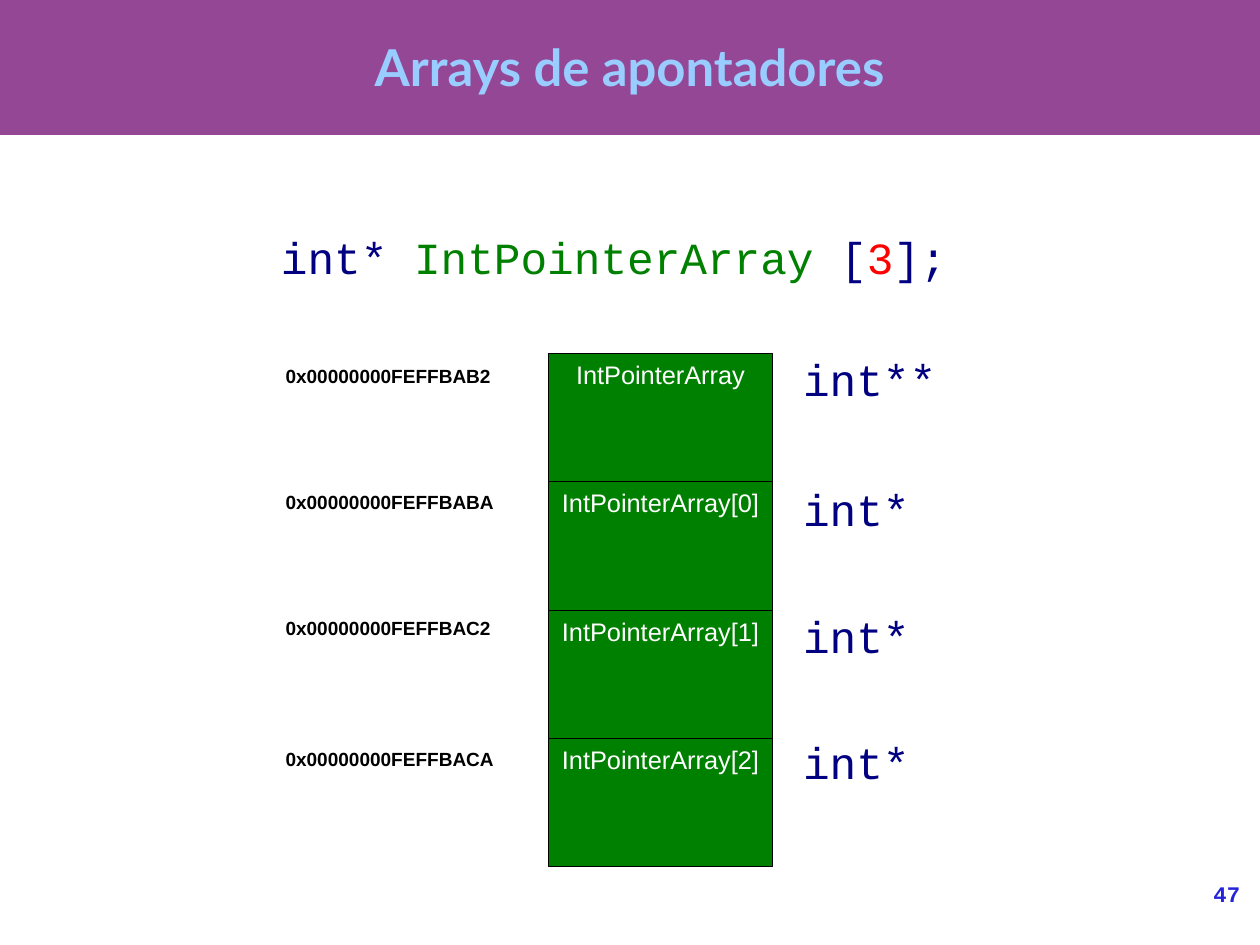
"""Build the slide on arrays of pointers with its memory diagram."""
from dataclasses import dataclass

from pptx import Presentation
from pptx.dml.color import RGBColor
from pptx.enum.shapes import MSO_SHAPE
from pptx.enum.text import MSO_ANCHOR, PP_ALIGN
from pptx.util import Pt

RECTANGLE = MSO_SHAPE.RECTANGLE
TOP, MIDDLE = MSO_ANCHOR.TOP, MSO_ANCHOR.MIDDLE
LEFT, CENTER, RIGHT = PP_ALIGN.LEFT, PP_ALIGN.CENTER, PP_ALIGN.RIGHT

PURPLE = RGBColor(0x94, 0x47, 0x94)
SKY = RGBColor(0x99, 0xCC, 0xFF)
GREEN = RGBColor(0x00, 0x80, 0x00)
NAVY = RGBColor(0x00, 0x00, 0x80)
RED = RGBColor(0xFF, 0x00, 0x00)
BLUE = RGBColor(0x23, 0x23, 0xDC)
BLACK = RGBColor(0x00, 0x00, 0x00)
WHITE = RGBColor(0xFF, 0xFF, 0xFF)

TITLE_FONT = {"name": "Lato", "size": Pt(32), "bold": True}
CODE_FONT = {"name": "Courier New", "size": Pt(28), "bold": False}
CELL_FONT = {"name": "Arial", "size": Pt(16), "bold": False}
ADDRESS_FONT = {"name": "Arial", "size": Pt(12), "bold": True}
NUMBER_FONT = {"name": "Courier New", "size": Pt(14), "bold": True}

SLIDE_WIDTH, SLIDE_HEIGHT = 793.7, 595.28
CELL_TOP, CELL_PITCH = 222.5, 80.9


@dataclass
class Box:
    left: float
    top: float
    width: float
    height: float


@dataclass
class MemoryCell:
    name: str
    address: str
    address_top: float
    type_name: str
    type_top: float


MEMORY_CELLS = [
    MemoryCell("IntPointerArray", "0x00000000FEFFBAB2", 226, "int**", 218.2),
    MemoryCell("IntPointerArray[0]", "0x00000000FEFFBABA", 305.2, "int*", 300.4),
    MemoryCell("IntPointerArray[1]", "0x00000000FEFFBAC2", 384.5, "int*", 380),
    MemoryCell("IntPointerArray[2]", "0x00000000FEFFBACA", 467.2, "int*", 459.4),
]

DECLARATION = [
    ("int* ", NAVY),
    ("IntPointerArray", GREEN),
    (" [", NAVY),
    ("3", RED),
    ("];", NAVY),
]


def write_text(shape, runs, font, alignment=LEFT, anchor=TOP, margins=(7.2, 3.6), wrap=True) -> None:
    horizontal, vertical = Pt(margins[0]), Pt(margins[1])
    frame_format = {
        "margin_left": horizontal,
        "margin_right": horizontal,
        "margin_top": vertical,
        "margin_bottom": vertical,
        "vertical_anchor": anchor,
        "word_wrap": wrap,
    }
    for attribute, value in frame_format.items():
        setattr(shape.text_frame, attribute, value)
    paragraph = shape.text_frame.paragraphs[0]
    paragraph.alignment = alignment
    for text, color in runs:
        run = paragraph.add_run()
        run.text = text
        for attribute, value in font.items():
            setattr(run.font, attribute, value)
        run.font.color.rgb = color


def add_rectangle(slide, box: Box, fill: RGBColor):
    shape = slide.shapes.add_shape(
        RECTANGLE, Pt(box.left), Pt(box.top), Pt(box.width), Pt(box.height)
    )
    shape.shadow.inherit = False
    shape.fill.solid()
    shape.fill.fore_color.rgb = fill
    shape.line.fill.background()
    return shape


def add_text(slide, box: Box, runs, font, **layout) -> None:
    shape = slide.shapes.add_textbox(
        Pt(box.left), Pt(box.top), Pt(box.width), Pt(box.height)
    )
    write_text(shape, runs, font, **layout)


def add_memory_cell(slide, index: int, cell: MemoryCell) -> None:
    box = Box(345.6, CELL_TOP + index * CELL_PITCH, 141, CELL_PITCH)
    shape = add_rectangle(slide, box, GREEN)
    shape.line.color.rgb = BLACK
    shape.line.width = Pt(0.57)
    write_text(shape, [(cell.name, WHITE)], CELL_FONT, alignment=CENTER, wrap=False)
    add_text(slide, Box(172.8, cell.address_top, 156.2, 20.9), [(cell.address, BLACK)], ADDRESS_FONT)
    add_text(slide, Box(498.8, cell.type_top, 99.4, 70.6), [(cell.type_name, NAVY)], CODE_FONT)


def main() -> None:
    presentation = Presentation()
    presentation.slide_width = Pt(SLIDE_WIDTH)
    presentation.slide_height = Pt(SLIDE_HEIGHT)
    slide = presentation.slides.add_slide(presentation.slide_layouts[6])

    add_rectangle(slide, Box(0, -0.5, SLIDE_WIDTH, 85.5), PURPLE)
    add_text(
        slide, Box(39.6, -0.8, 714.2, 85), [("Arrays de apontadores", SKY)],
        TITLE_FONT, alignment=CENTER, anchor=MIDDLE, margins=(0, 0),
    )
    add_text(slide, Box(169.9, 141.6, 468, 102.2), DECLARATION, CODE_FONT)
    for index, cell in enumerate(MEMORY_CELLS):
        add_memory_cell(slide, index, cell)
    add_text(
        slide, Box(660.2, 554.4, 121, 41), [("47", BLUE)],
        NUMBER_FONT, alignment=RIGHT, margins=(0, 0),
    )
    presentation.save("out.pptx")


if __name__ == "__main__":
    main()
